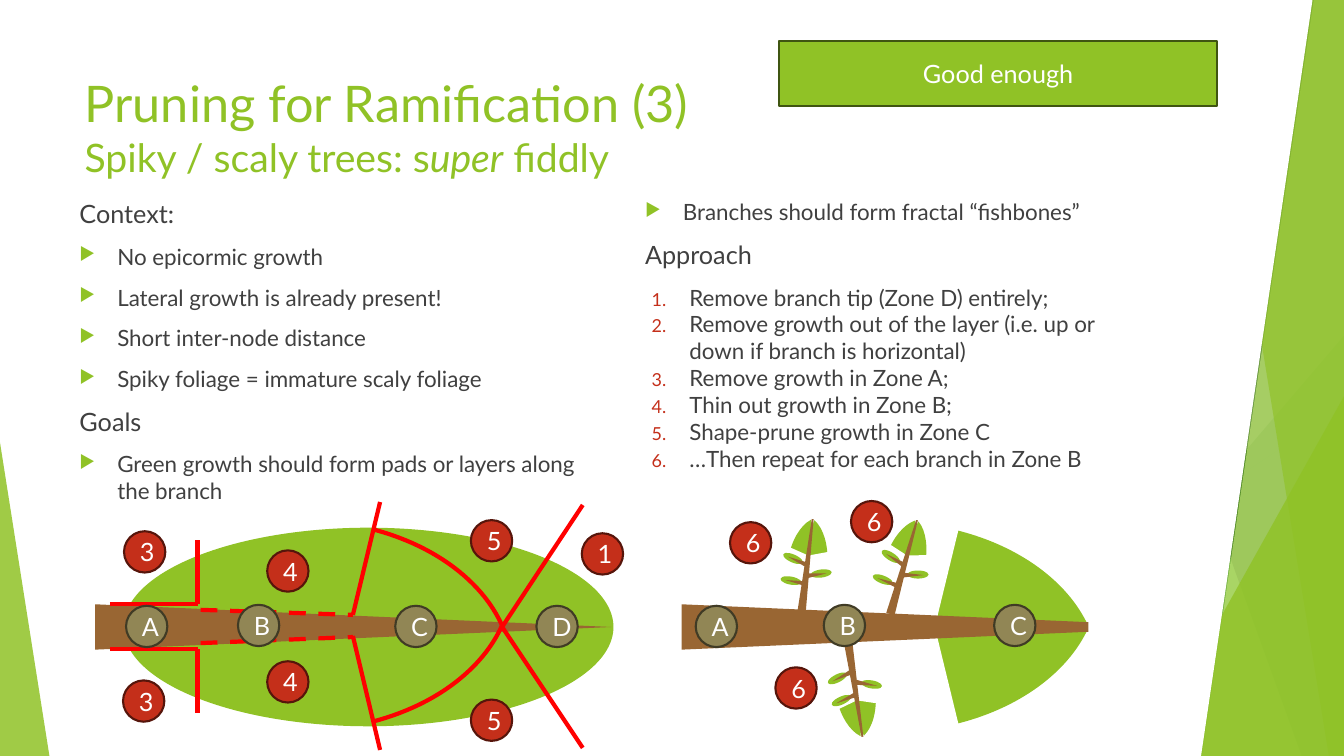
import math

import lxml.etree
import pptx
import pptx.dml.color
import pptx.enum.dml
import pptx.enum.shapes
import pptx.enum.text
import pptx.oxml.ns
import pptx.util

KIND = pptx.enum.shapes.MSO_SHAPE
ALIGN = pptx.enum.text.PP_ALIGN
ANCHOR = pptx.enum.text.MSO_ANCHOR
FONT = "Lato"
HEX = {"green": "90C226", "forest": "54A021", "moss": "3F7819", "lime": "C0E474",
       "edge": "3F5511", "white": "FFFFFF", "silver": "BFBFBF", "grey": "D9D9D9",
       "text": "404040", "brown": "996633", "red": "FF0000", "rust": "C42F1A",
       "wine": "56150B", "olive": "918655", "bark": "403B25"}

# Places are in inches; size() turns them into lengths.
RAYS = [("silver", (10.25, 0, 11.58, 7.5)), ("grey", (13.33, 4.03, 8.12, 7.5))]
BANDS = [  # colour, opacity in percent, then x at top left, top right, foot right, foot left
    ("green", 30, (12.28, 13.33, 13.33, 10.04)),
    ("green", 20, (10.5, 13.33, 13.33, 11.83)),
    ("forest", 72, (9.77, 3.33, 3.56, 4.17, 1)),  # triangle: left, top, width, height, peak
    ("moss", 70, (10.21, 13.33, 13.33, 12.91)),
    ("lime", 70, (13.03, 13.33, 13.33, 11.92)),
    ("green", 65, (11.96, 13.33, 13.33, 13.18)),
    ("green", 80, (11.34, 3.93, 1.99, 3.57, 1)),
    ("green", 85, (0, 4.39, 0.49, 3.11, 0)),
]
TITLE = [("Pruning for Ramification (3)", 36, False), None,
         ("Spiky / scaly trees: s", 28, False), ("uper", 28, True),
         (" fiddly", 28, False)]
LEFT = [("head", "Context:"),
        ("point", "No epicormic growth"),
        ("point", "Lateral growth is already present!"),
        ("point", "Short inter-node distance"),
        ("point", "Spiky foliage = immature scaly foliage"),
        ("head", "Goals"),
        ("point", "Green growth should form pads or layers along the branch")]
RIGHT = [("point", "Branches should form fractal “fishbones”"),
         ("head", "Approach"),
         ("first", "Remove branch tip (Zone D) entirely;"),
         ("step", "Remove growth out of the layer (i.e. up or down if branch is horizontal)"),
         ("step", "Remove growth in Zone A;"),
         ("step", "Thin out growth in Zone B;"),
         ("step", "Shape-prune growth in Zone C"),
         ("step", "…Then repeat for each branch in Zone B")]
CUTS = [(1.09, 5.99, 1.96, 5.99), (1.96, 5.99, 1.96, 5.36),
        (1.09, 6.44, 1.96, 6.44), (1.96, 6.44, 1.96, 7.07),
        (4.98, 6.22, 5.78, 5.01), (4.98, 6.22, 5.78, 7.42),
        (3.5, 6.1, 3.77, 4.98), (3.5, 6.31, 3.77, 7.44)]
DASHES = [(1.99, 6.05, 3.5, 6.1), (1.99, 6.38, 3.5, 6.32)]
ARCS = [(5.16, ""), (4.24, "v")]
STEPS = [("3", 1.22, 6.75), ("3", 1.23, 5.27), ("1", 5.77, 5.29), ("4", 2.65, 5.46),
         ("4", 2.65, 6.56), ("5", 4.67, 5.16), ("5", 4.67, 6.94),
         ("6", 7.24, 5.18), ("6", 8.44, 4.97), ("6", 7.69, 6.62)]
ZONES = [("A", 1.25, 6.01), ("B", 2.36, 6), ("C", 3.92, 6.01), ("D", 5.32, 6.01),
         ("A", 6.9, 6.01), ("B", 8.17, 6), ("C", 9.86, 6)]
PIE = (169.5, 200.22)
BRANCH = [  # kind, across, along, width, length, half turn, flips, colour, adjustments
    (KIND.PIE, 0.46, 0.53, 3.01, 4.22, 0, "h", "green", PIE),
    (KIND.PIE, -0.46, 0.53, 3.01, 4.22, 180, "hv", "green", PIE),
    (KIND.RIGHT_TRIANGLE, -0.32, -0.03, 1.97, 0.48, 180, "hv", "white", ()),
    (KIND.RIGHT_TRIANGLE, 0.32, -0.03, 1.97, 0.48, 0, "h", "white", ()),
    (KIND.RECTANGLE, 0, 0.55, 1.37, 0.96, 180, "hv", "white", ()),
    (KIND.ISOSCELES_TRIANGLE, 0, 0, 0.45, 5.12, 0, "h", "brown", ()),
    (KIND.RECTANGLE, 0, -2.09, 0.45, 1.23, 180, "hv", "white", ()),
]
BRANCHES = [  # centre, turn, scale across and along
    (9.32, 6.22, 90, 1, 1), (8.02, 5.5, 6.8, 0.19, 0.24),
    (8.5, 6.96, 171.4, 0.19, 0.24), (9, 5.5, 15.8, 0.19, 0.24)]
TWIGS = [(7.84, 5.76, 190.1), (8.14, 5.69, 352.7), (7.86, 5.54, 203.5),
         (8.64, 6.79, 9.6), (8.3, 6.73, 153.7), (8.34, 6.95, 155.7),
         (8.75, 5.75, 200.7), (9.1, 5.7, 0), (8.83, 5.52, 212.2)]


def size(inch):
    return pptx.util.Cm(inch * 2.54)


def color(name):
    return pptx.dml.color.RGBColor.from_string(HEX[name])


def child(node, tag, **attrs):
    return lxml.etree.SubElement(node, pptx.oxml.ns.qn("a:" + tag), attrs)


def style(run, pts, name):
    run.font.name, run.font.size = FONT, pptx.util.Pt(pts)
    run.font.color.rgb = color(name)


def paint(shape, fill, line=None, alpha=100):
    shape.shadow.inherit = False
    shape.fill.solid()
    shape.fill.fore_color.rgb = color(fill)
    if alpha < 100:
        tone = shape._element.spPr.find(".//" + pptx.oxml.ns.qn("a:srgbClr"))
        child(tone, "alpha", val=str(alpha * 1000))
    if line:
        shape.line.color.rgb = color(line)
        shape.line.width = pptx.util.Pt(1.5)
    else:
        shape.line.fill.background()


def add(kind, x, y, w, h, turn=0, flips="", adjust=()):
    shape = shapes.add_shape(kind, *map(size, (x, y, w, h)))
    shape.rotation = turn % 360
    for axis in flips:
        shape._element.spPr.xfrm.set("flip" + axis.upper(), "1")
    for i, value in enumerate(adjust):
        shape.adjustments[i] = value
    return shape


def label(shape, text):
    frame = shape.text_frame
    frame.vertical_anchor = ANCHOR.MIDDLE
    frame.text = text
    frame.paragraphs[0].alignment = ALIGN.CENTER
    style(frame.paragraphs[0].runs[0], 18, "white")


def band(xs):
    """A strip of full slide height, given its four corner x values."""
    spots = [(size(x), size(y)) for x, y in zip(xs, (0, 0, 7.5, 7.5))]
    pen = shapes.build_freeform(*spots[0])
    pen.add_line_segments(spots[1:], close=True)
    return pen.convert_to_shape()


def stroke(ends, name, pts, dash=False):
    line = shapes.add_connector(pptx.enum.shapes.MSO_CONNECTOR.STRAIGHT, *map(size, ends))
    line.line.color.rgb = color(name)
    line.line.width = pptx.util.Pt(pts)
    if dash:
        line.line.dash_style = pptx.enum.dml.MSO_LINE.DASH
    child(line._element.spPr, "effectLst")


def grow(x, y, turn, wide, long):
    """A pruned branch around its centre, pointing up when turn is 0."""
    c, s = math.cos(math.radians(turn)), math.sin(math.radians(turn))
    for kind, u, v, w, h, half, flips, fill, adjust in BRANCH:
        u, v, h = u * wide, v * long, h * long
        w *= wide
        left, top = x + u * c - v * s - w / 2, y + u * s + v * c - h / 2
        paint(add(kind, left, top, w, h, turn + half, flips, adjust), fill)


def column(x, rows):
    box = shapes.add_textbox(*map(size, (x, 1.92, 5.16, 5.58)))
    frame = box.text_frame
    frame.word_wrap = True
    for i, (kind, text) in enumerate(rows):
        para = frame.add_paragraph() if i else frame.paragraphs[0]
        para.text = text
        style(para.runs[0], 18 if kind == "head" else 16, "text")
        para.space_before = pptx.util.Pt(0 if kind == "step" else 10)
        if kind == "head":
            continue
        point = kind == "point"
        props = para._p.get_or_add_pPr()
        props.set("marL", str(size(0.375 if point else 0.44)))
        props.set("indent", str(-size(0.375)))
        child(child(props, "buClr"), "srgbClr", val=HEX["green" if point else "rust"])
        child(props, "buSzPct", val="80000")
        if point:
            child(props, "buChar", char="▶")
        else:
            child(props, "buAutoNum", type="arabicPeriod")


deck = pptx.Presentation()
deck.slide_width, deck.slide_height = size(13.33), size(7.5)
slide = deck.slides.add_slide(deck.slide_layouts[5])
shapes = slide.shapes

for name, ends in RAYS:
    stroke(ends, name, 0.75)
for name, alpha, spots in BANDS:
    if len(spots) == 4:
        part = band(spots)
    else:
        part = add(KIND.ISOSCELES_TRIANGLE, *spots[:4], adjust=spots[4:])
    paint(part, name, alpha=alpha)
paint(add(KIND.PARALLELOGRAM, 7.47, -0.02, 5.54, 7.52, flips="", adjust=[0.2]), "white", "white")

title = shapes.title
title.left, title.top, title.width, title.height = map(size, (0.74, 0.67, 9.4, 1.44))
title.text_frame.vertical_anchor = ANCHOR.TOP
para = title.text_frame.paragraphs[0]
para.alignment = ALIGN.LEFT
for part in TITLE:
    if part is None:
        para.add_line_break()
        continue
    run = para.add_run()
    run.text, run.font.italic = part[0], part[2]
    style(run, part[1], "green")

column(0.69, LEFT)
column(6.3, RIGHT)
sign = add(KIND.RECTANGLE, 7.73, 0.41, 4.34, 0.64)
paint(sign, "green", "edge")
label(sign, "Good enough")

# Whole branch with its cuts
paint(add(KIND.OVAL, 2.67, 3.79, 1.97, 4.86, 90, "h"), "green")
paint(add(KIND.ISOSCELES_TRIANGLE, 3.28, 3.66, 0.45, 5.12, 90, "h"), "brown")
for ends in CUTS + DASHES:
    stroke(ends, "red", 3, ends in DASHES)
for top, flips in ARCS:
    arc = add(KIND.ARC, 0.87, top, 4.21, 3.01, 0, flips, (178.54, 208.13))
    arc.shadow.inherit = False
    arc.fill.background()
    arc.line.color.rgb = color("red")
    arc.line.width = pptx.util.Pt(3)

# Pruned branch with its sprigs
for branch in BRANCHES:
    grow(*branch)
for x, y, turn in TWIGS:
    paint(add(KIND.OVAL, x - 0.1, y - 0.04, 0.21, 0.08, turn), "green")
    x -= 0.05 * math.cos(math.radians(turn))
    y -= 0.05 * math.sin(math.radians(turn))
    paint(add(KIND.ISOSCELES_TRIANGLE, x - 0.02, y - 0.1, 0.05, 0.21, turn + 90, "h"), "brown")

for marks, fill, line in ((STEPS, "rust", "wine"), (ZONES, "olive", "bark")):
    for text, x, y in marks:
        badge = add(KIND.OVAL, x, y, 0.41, 0.41)
        paint(badge, fill, line)
        label(badge, text)

deck.save("out.pptx")
